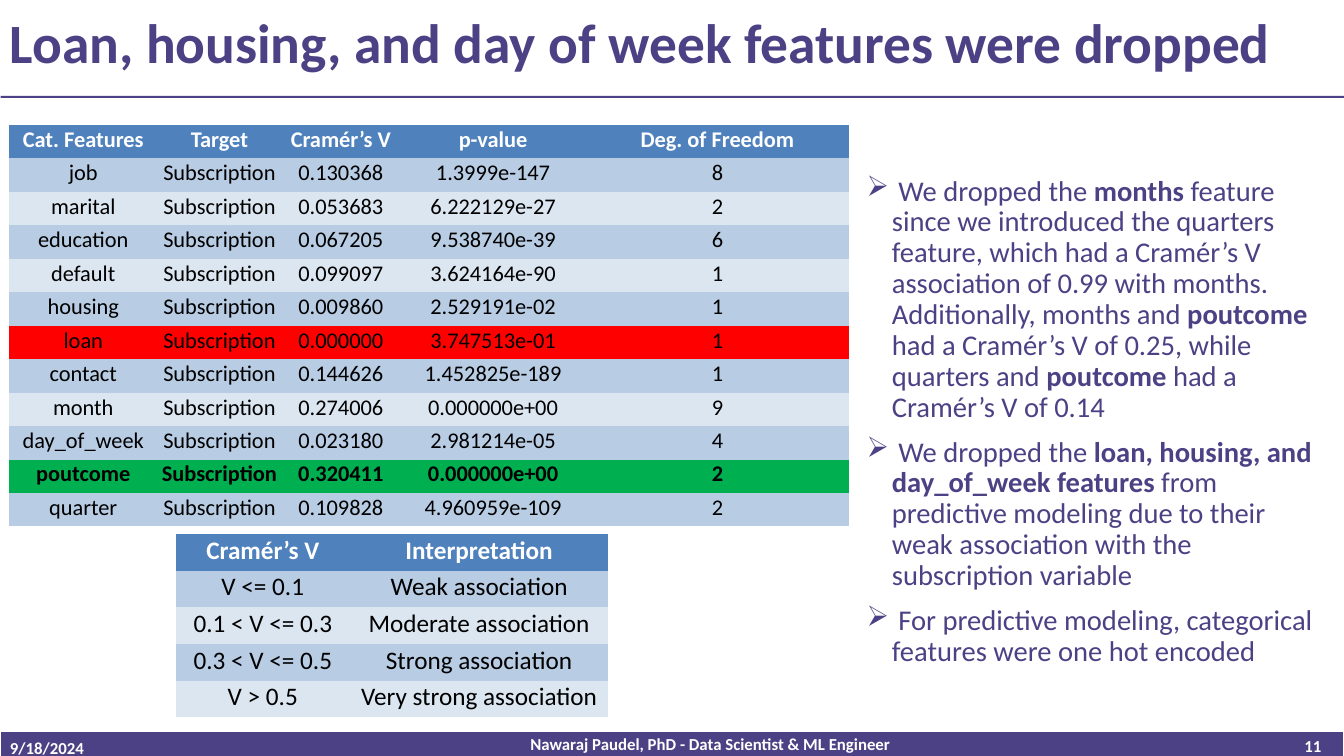
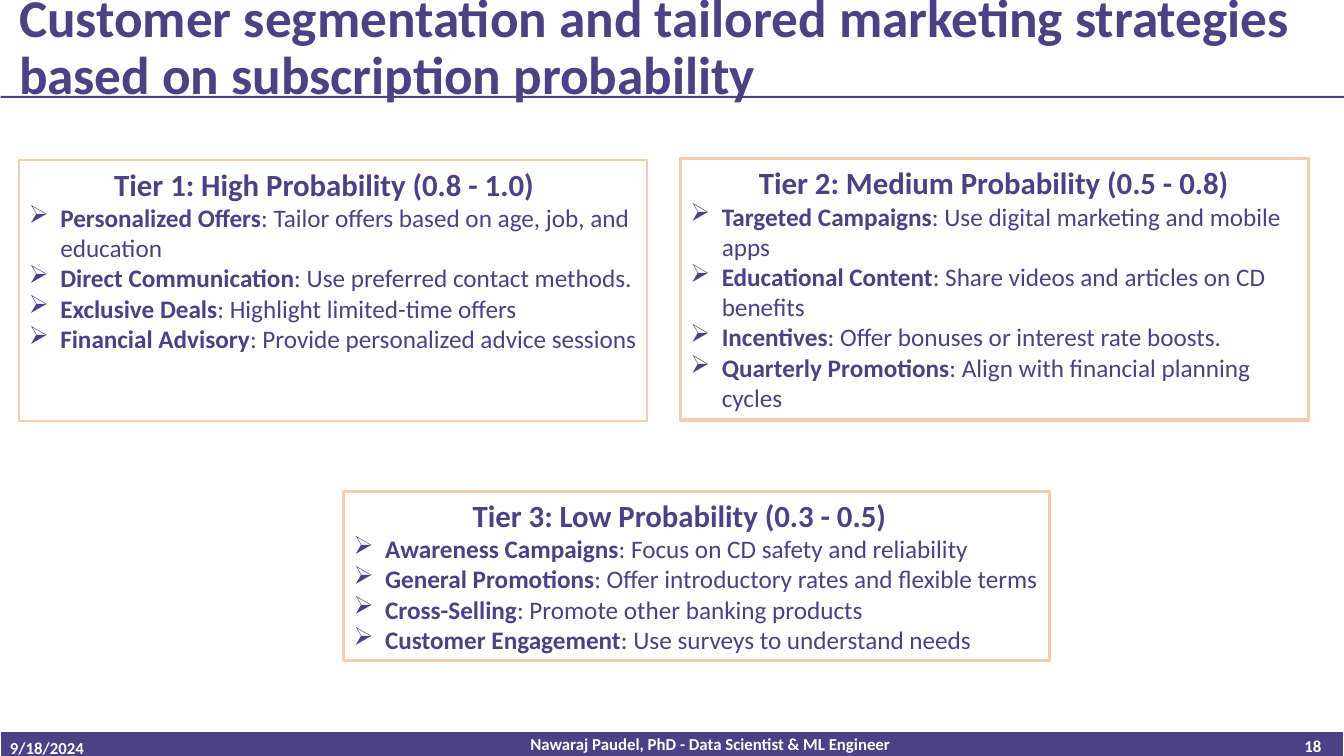
from lxml.etree import SubElement
from pptx import Presentation
from pptx.dml.color import RGBColor
from pptx.enum.shapes import MSO_SHAPE as SHAPE
from pptx.enum.text import MSO_ANCHOR as ANCHOR, PP_ALIGN as ALIGN
from pptx.oxml.ns import qn
from pptx.util import Pt

FONT = "Calibri"
PURPLE, WHITE, BLACK, PEACH = "4C4184", "FFFFFF", "000000", "F8CBAD"
HEADER, BANDS = "4F81BD", ("B8CCE4", "DCE6F1")
NO_STYLE = "{2D5ABB26-0587-4C30-8999-92F81FD0307C}"
WIDTH, HEIGHT = 960, 540

FEATURES = [
    ("Cat. Features", "Target", "Cramér’s V", "p-value", "Deg. of Freedom"),
    *((name, "Subscription", v, p_value, dof) for name, v, p_value, dof in (
        ("job", "0.130368", "1.3999e-147", "8"),
        ("marital", "0.053683", "6.222129e-27", "2"),
        ("education", "0.067205", "9.538740e-39", "6"),
        ("default", "0.099097", "3.624164e-90", "1"),
        ("housing", "0.009860", "2.529191e-02", "1"),
        ("loan", "0.000000", "3.747513e-01", "1"),
        ("contact", "0.144626", "1.452825e-189", "1"),
        ("month", "0.274006", "0.000000e+00", "9"),
        ("day_of_week", "0.023180", "2.981214e-05", "4"),
        ("poutcome", "0.320411", "0.000000e+00", "2"),
        ("quarter", "0.109828", "4.960959e-109", "2"),
    )),
]
INTERPRETATION = [
    ("Cramér’s V", "Interpretation"),
    ("V <= 0.1", "Weak association"),
    ("0.1 < V <= 0.3", "Moderate association"),
    ("0.3 < V <= 0.5", "Strong association"),
    ("V > 0.5", "Very strong association"),
]
FINDINGS = [
    " We dropped the *months* feature since we introduced the quarters feature, "
    "which had a Cramér’s V association of 0.99 with months. Additionally, months "
    "and *poutcome *had a Cramér’s V of 0.25, while quarters and *poutcome* had a "
    "Cramér’s V of 0.14",
    " We dropped the *loan, housing, and day_of_week features *from predictive "
    "modeling due to their weak association with the subscription variable",
    " For predictive modeling, categorical features were one hot encoded",
]
TIERS = [
    ((13.5, 114.5, 448.5, 186.5), 1.5, 61, "Tier 1: High Probability (0.8 - 1.0)", [
        "*Personalized Offers*: Tailor offers based on age, job, and education",
        "*Direct Communication*: Use preferred contact methods.",
        "*Exclusive Deals*: Highlight limited-time offers",
        "*Financial Advisory*: Provide personalized advice sessions",
    ]),
    ((486, 113.5, 448.5, 186.5), 2.25, 49, "Tier 2: Medium Probability (0.5 - 0.8)", [
        "*Targeted Campaigns*: Use digital marketing and mobile apps",
        "*Educational Content*: Share videos and articles on CD benefits",
        "*Incentives*: Offer bonuses or interest rate boosts.",
        "*Quarterly Promotions*: Align with financial planning cycles",
    ]),
    ((245.5, 351, 504, 121), 2.25, 85, "Tier 3: Low Probability (0.3 - 0.5)", [
        "*Awareness Campaigns*: Focus on CD safety and reliability",
        "*General Promotions*: Offer introductory rates and flexible terms",
        "*Cross-Selling*: Promote other banking products",
        "*Customer Engagement*: Use surveys to understand needs",
    ]),
]


def rgb(color):
    """Turn a hex string into a colour."""
    return RGBColor.from_string(color)


def write(tf, text, size=12, color=PURPLE, bold=False, align=ALIGN.LEFT,
          spacing=None, before=0, indent=0, bullet=None):
    """Write one paragraph, where text between asterisks is bold."""
    p = tf.paragraphs[0]
    if p.runs:
        p = tf.add_paragraph()
    p.alignment, p.line_spacing, p.space_before = align, spacing, Pt(before)
    ppr = p._p.get_or_add_pPr()
    if indent:
        ppr.set("marL", str(Pt(indent)))
    if bullet:
        ppr.set("indent", str(Pt(-indent)))
        SubElement(ppr, qn("a:buChar")).set("char", bullet)
    for i, part in enumerate(text.split("*")):
        if part:
            r = p.add_run()
            r.text = part
            r.font.name, r.font.size = FONT, Pt(size)
            r.font.bold = bold or i % 2 == 1
            r.font.color.rgb = rgb(color)


def add_text(s, box, anchor=ANCHOR.MIDDLE):
    """Add a wrapping text box and return its text frame."""
    tf = s.shapes.add_textbox(*map(Pt, box)).text_frame
    tf.word_wrap, tf.vertical_anchor = True, anchor
    return tf


def add_rect(s, box, fill=None, line=None, weight=1):
    """Add a rectangle with optional fill and outline."""
    sp = s.shapes.add_shape(SHAPE.RECTANGLE, *map(Pt, box))
    sp.shadow.inherit = False
    if fill:
        sp.fill.solid()
        sp.fill.fore_color.rgb = rgb(fill)
    else:
        sp.fill.background()
    if line:
        sp.line.color.rgb = rgb(line)
        sp.line.width = Pt(weight)
    else:
        sp.line.fill.background()
    return sp


def add_frame(prs, title, title_box, size, number):
    """Start a slide with its title, rule and footer band."""
    s = prs.slides.add_slide(prs.slide_layouts[6])
    add_rect(s, (0.5, 68.4, WIDTH, 1.5), PURPLE)
    add_rect(s, (0, 522.7, WIDTH, 21), PURPLE, WHITE)
    write(add_text(s, title_box), title, size=size, bold=True, spacing=0.9)
    for text, box, align in (
        ("9/18/2024", (0, 525, 212, 18), ALIGN.LEFT),
        ("Nawaraj Paudel, PhD - Data Scientist & ML Engineer",
         (347, 523.5, 321, 16), ALIGN.CENTER),
        (number, (739, 523.5, 212, 18), ALIGN.RIGHT),
    ):
        write(add_text(s, box), text, color=WHITE, bold=True, align=align)
    return s


def add_grid(s, left, top, widths, row_height, rows, size, marked=None, strong=()):
    """Add a banded table, with marked rows filled by their first cell."""
    marked = marked or {}
    table = s.shapes.add_table(len(rows), len(widths), Pt(left), Pt(top),
                               Pt(sum(widths)), Pt(row_height * len(rows))).table
    table._tbl.tblPr.find(qn("a:tableStyleId")).text = NO_STYLE
    for column, width in zip(table.columns, widths):
        column.width = Pt(width)
    for i, values in enumerate(rows):
        table.rows[i].height = Pt(row_height)
        fill = marked.get(values[0], BANDS[(i - 1) % 2]) if i else HEADER
        for j, value in enumerate(values):
            cell = table.cell(i, j)
            cell.fill.solid()
            cell.fill.fore_color.rgb = rgb(fill)
            cell.vertical_anchor = ANCHOR.BOTTOM
            cell.margin_left = cell.margin_right = cell.margin_top = Pt(0.7)
            cell.margin_bottom = Pt(3.6)
            write(cell.text_frame, value, size=size, color=BLACK if i else WHITE,
                  bold=i == 0 or values[0] in strong, align=ALIGN.CENTER)


def add_findings(s, box):
    """Add the bulleted findings."""
    tf = add_text(s, box, ANCHOR.TOP)
    for text in FINDINGS:
        write(tf, text, size=20.4, spacing=0.9, before=10, indent=18, bullet="➢")


def add_tier(s, box, weight, heading_indent, heading, actions):
    """Add an outlined tier with a heading and bulleted actions."""
    tf = add_rect(s, box, line=PEACH, weight=weight).text_frame
    tf.word_wrap, tf.vertical_anchor, tf.margin_right = True, ANCHOR.TOP, Pt(5)
    write(tf, heading, size=22, bold=True, indent=heading_indent)
    for action in actions:
        write(tf, action, size=18, indent=22.5, bullet="➢")


def build_features(prs):
    """Build the slide on dropped features."""
    s = add_frame(prs, "Loan, housing, and day of week features were dropped",
                  (0, -4.5, WIDTH, 74), 39.6, "11")
    add_grid(s, 6.5, 89.3, (106, 88.5, 85, 132.5, 188), 23.9, FEATURES, 16,
             {"loan": "FF0000", "poutcome": "00B050"}, ("poutcome",))
    add_findings(s, (612, 122.4, 341.5, 353.5))
    add_grid(s, 125.5, 381.5, (124.5, 184.5), 26.2, INTERPRETATION, 18)


def build_tiers(prs):
    """Build the slide on customer tiers."""
    s = add_frame(prs, "Customer segmentation and tailored marketing strategies "
                  "based on subscription probability", (6.5, -2.2, WIDTH, 74), 38, "18")
    for tier in TIERS:
        add_tier(s, *tier)


def main():
    """Build and save the presentation."""
    prs = Presentation()
    prs.slide_width, prs.slide_height = Pt(WIDTH), Pt(HEIGHT)
    build_features(prs)
    build_tiers(prs)
    prs.save("out.pptx")


if __name__ == "__main__":
    main()
